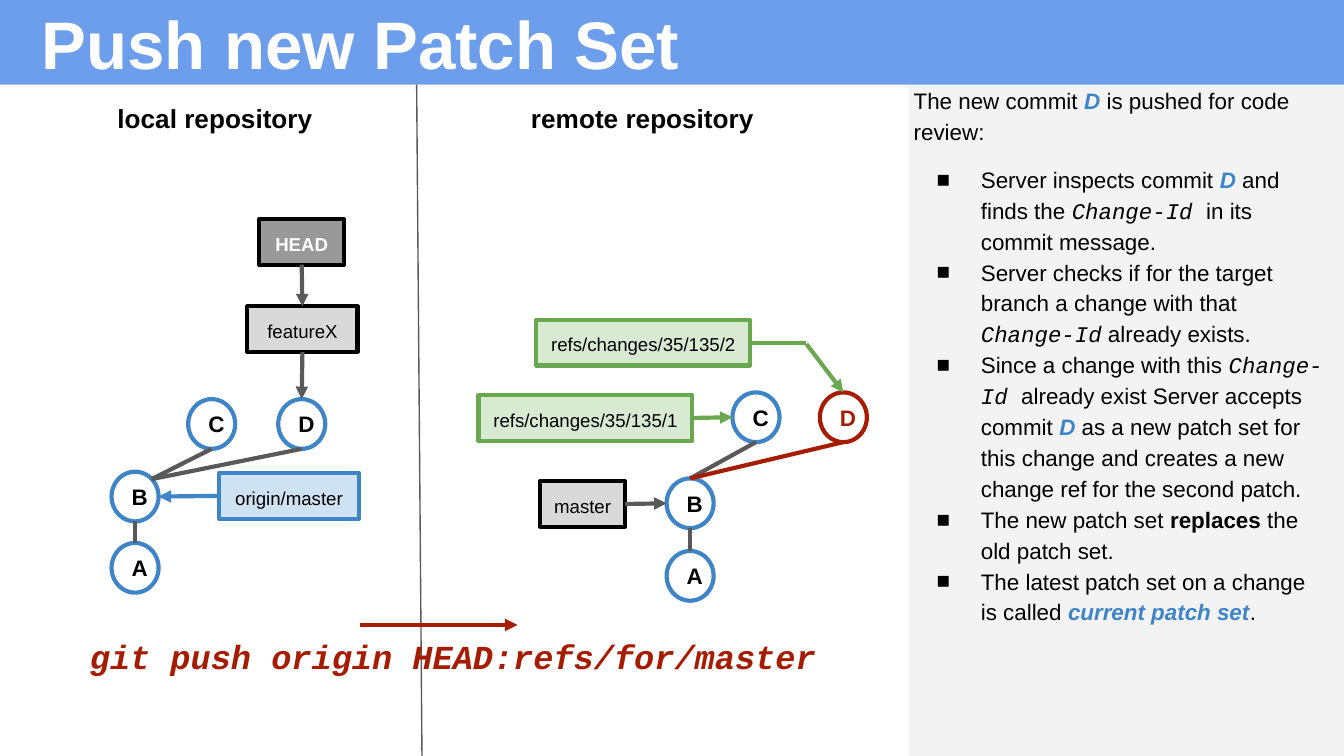
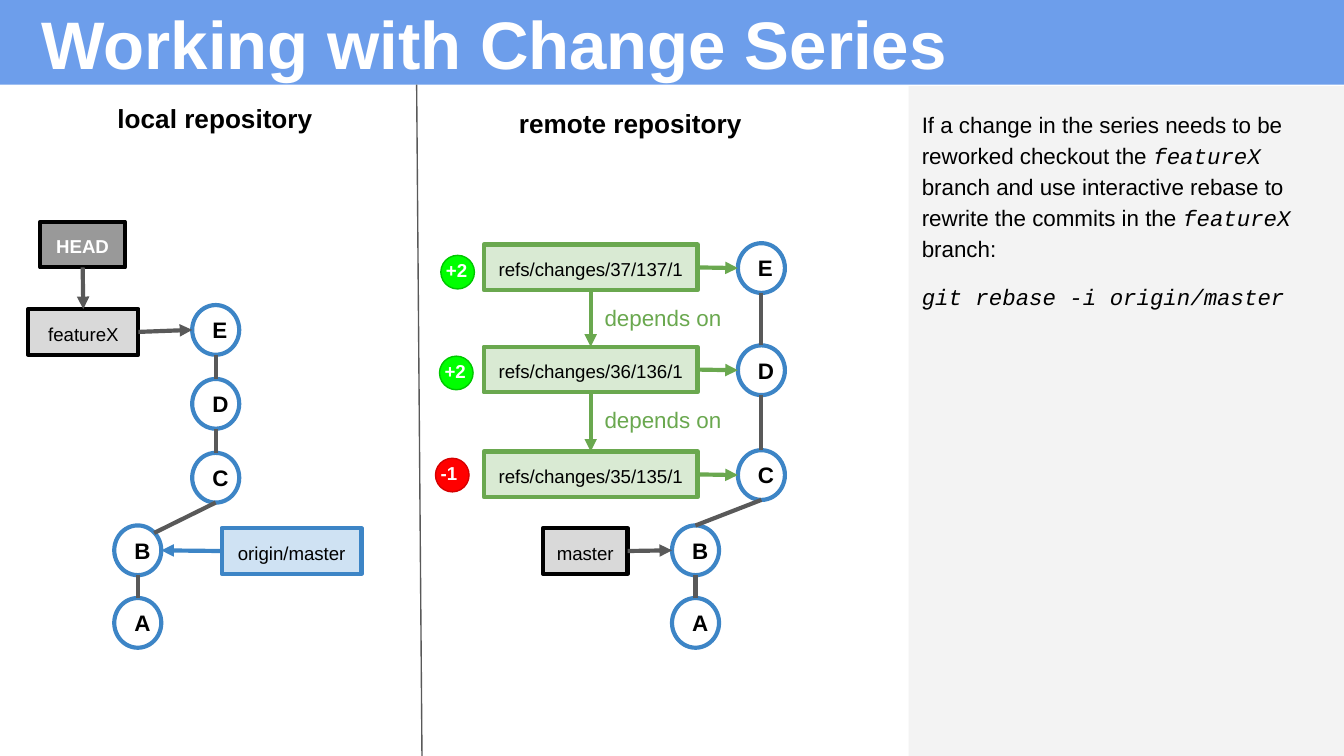
from dataclasses import dataclass

from lxml import etree
from pptx import Presentation
from pptx.dml import color
from pptx.enum import shapes, text
from pptx.oxml import ns
from pptx.util import Inches, Pt


@dataclass(frozen=True)
class Theme:
    sans: str = "Arial"
    mono: str = "Courier New"
    black: str = "000000"
    white: str = "FFFFFF"
    band: str = "6D9EEB"
    panel: str = "F3F3F3"
    grey: str = "595959"
    blue: str = "3D85C6"
    green: str = "6AA84F"
    red: str = "A61C00"
    title: int = 36
    command: int = 18
    heading: int = 14
    body: int = 12
    label: int = 10
    stroke: float = 2.25
    hairline: float = 0.75


theme = Theme()
TOP, LEFT, BOTTOM, RIGHT, UPPER_RIGHT = range(5)
SITES = [(0.5, 0), (0, 0.5), (0.5, 1), (1, 0.5), (0.85, 0.15)]
COMMIT_WIDTH, COMMIT_HEIGHT, REF_HEIGHT = 0.35, 0.37, 0.34
REF_KINDS = {
    "head": (0.63, "999999", theme.black, theme.white),
    "branch": (0.82, "D9D9D9", theme.black, theme.black),
    "master": (0.63, "D9D9D9", theme.black, theme.black),
    "origin": (1.04, "CFE2F3", theme.blue, theme.black),
    "change": (1.59, "D9EAD3", theme.green, theme.black),
}
VOTES = {"+2": ("00FF00", "00C700", 0.5, 0.33), "-1": ("FF0000", "D50000", 0.4, 0.28)}

CODE = {"name": theme.mono, "italic": True}
TERM = {"color": theme.blue, "bold": True, "italic": True}
STRONG = {"bold": True}

slides = [
    {
        "title": "Push new Patch Set",
        "remote_heading": (3.75, 0.66),
        "refs": [
            ("HEAD", "head", 1.93, 1.63),
            ("featureX", "branch", 1.84, 2.28),
            ("origin/master", "origin", 1.63, 3.52),
            ("master", "master", 4.02, 3.58),
            ("refs/changes/35/135/1", "change", 3.56, 2.94),
            ("refs/changes/35/135/2", "change", 3.99, 2.38),
        ],
        "commits": [
            ("local A", 0.83, 4.04, theme.blue),
            ("local B", 0.83, 3.51, theme.blue),
            ("local C", 1.4, 2.97, theme.blue),
            ("local D", 2.07, 2.97, theme.blue),
            ("remote A", 4.96, 4.1, theme.blue),
            ("remote B", 4.96, 3.56, theme.blue),
            ("remote C", 5.45, 2.92, theme.blue),
            ("remote D", 6.1, 2.92, theme.red),
        ],
        "history": [
            (("local A", TOP), ("local B", BOTTOM), theme.grey),
            (("local B", UPPER_RIGHT), ("local C", BOTTOM), theme.grey),
            (("local B", UPPER_RIGHT), ("local D", BOTTOM), theme.grey),
            (("remote A", TOP), ("remote B", BOTTOM), theme.grey),
            (("remote B", TOP), ("remote C", BOTTOM), theme.grey),
            (("remote B", TOP), ("remote D", BOTTOM), theme.red),
            (("refs/changes/35/135/2", RIGHT), (6, 2.55), theme.green),
        ],
        "arrows": [
            (("HEAD", BOTTOM), ("featureX", TOP), theme.grey),
            (("featureX", BOTTOM), ("local D", TOP), theme.grey),
            (("origin/master", LEFT), ("local B", RIGHT), theme.blue),
            (("master", RIGHT), ("remote B", LEFT), theme.grey),
            (("refs/changes/35/135/1", RIGHT), ("remote C", LEFT), theme.green),
            ((6, 2.56), ("remote D", TOP), theme.green),
            ((2.68, 4.65), (3.85, 4.65), theme.red),
        ],
        "captions": [
            ((0.57, 4.63, 5.79, 0.52),
             ("git push origin HEAD:refs/for/master", CODE | STRONG),
             theme.command, theme.red),
        ],
        "votes": [],
        "note_place": (6.7, 0.52, 3.26, 4.75),
        "intro": [["The new commit ", ("D", TERM), " is pushed for code review:"]],
        "bullets": [
            ["Server inspects commit ", ("D", TERM), " and finds the ",
             ("Change-Id ", CODE), "in its commit message."],
            ["Server checks if for the target branch a change with that ",
             ("Change-Id", CODE), " already exists."],
            ["Since a change with this ", ("Change-Id ", CODE),
             "already exist Server accepts commit ", ("D", TERM),
             " as a new patch set for this change and creates a new change ref"
             " for the second patch."],
            ["The new patch set ", ("replaces", STRONG), " the old patch set."],
            ["The latest patch set on a change is called ",
             ("current patch set", TERM), "."],
        ],
    },
    {
        "title": "Working with Change Series",
        "remote_heading": (3.66, 0.7),
        "refs": [
            ("HEAD", "head", 0.3, 1.65),
            ("featureX", "branch", 0.21, 2.3),
            ("origin/master", "origin", 1.65, 3.93),
            ("master", "master", 4.04, 3.93),
            ("refs/changes/37/137/1", "change", 3.6, 1.82),
            ("refs/changes/36/136/1", "change", 3.6, 2.58),
            ("refs/changes/35/135/1", "change", 3.6, 3.36),
        ],
        "commits": [
            ("local A", 0.85, 4.45, theme.blue),
            ("local B", 0.85, 3.91, theme.blue),
            ("local C", 1.43, 3.37, theme.blue),
            ("local D", 1.43, 2.82, theme.blue),
            ("local E", 1.43, 2.27, theme.blue),
            ("remote A", 5, 4.45, theme.blue),
            ("remote B", 5, 3.91, theme.blue),
            ("remote C", 5.49, 3.35, theme.blue),
            ("remote D", 5.49, 2.57, theme.blue),
            ("remote E", 5.49, 1.81, theme.blue),
        ],
        "history": [
            (("local A", TOP), ("local B", BOTTOM), theme.grey),
            (("local B", UPPER_RIGHT), ("local C", BOTTOM), theme.grey),
            (("local C", TOP), ("local D", BOTTOM), theme.grey),
            (("local D", TOP), ("local E", BOTTOM), theme.grey),
            (("remote A", TOP), ("remote B", BOTTOM), theme.grey),
            (("remote B", TOP), ("remote C", BOTTOM), theme.grey),
            (("remote C", TOP), ("remote D", BOTTOM), theme.grey),
            (("remote D", TOP), ("remote E", BOTTOM), theme.grey),
        ],
        "arrows": [
            (("HEAD", BOTTOM), ("featureX", TOP), theme.grey),
            (("featureX", RIGHT), ("local E", LEFT), theme.grey),
            (("origin/master", LEFT), ("local B", RIGHT), theme.blue),
            (("master", RIGHT), ("remote B", LEFT), theme.grey),
            (("refs/changes/37/137/1", RIGHT), ("remote E", LEFT), theme.green),
            (("refs/changes/36/136/1", RIGHT), ("remote D", LEFT), theme.green),
            (("refs/changes/35/135/1", RIGHT), ("remote C", LEFT), theme.green),
            (("refs/changes/37/137/1", BOTTOM), ("refs/changes/36/136/1", TOP), theme.green),
            (("refs/changes/36/136/1", BOTTOM), ("refs/changes/35/135/1", TOP), theme.green),
        ],
        "captions": [
            ((4.4, top, 1.26, 0.44), "depends on", theme.body, theme.green)
            for top in (2.16, 2.92)
        ],
        "votes": [("+2", 3.28, 1.9), ("+2", 3.27, 2.65), ("-1", 3.24, 3.41)],
        "note_place": (6.76, 0.7, 3.18, 4.68),
        "intro": [
            ["If a change in the series needs to be reworked checkout the ",
             ("featureX", CODE),
             " branch and use interactive rebase to rewrite the commits in the ",
             ("featureX", CODE), " branch:"],
            [("git rebase -i origin/master", CODE)],
        ],
        "bullets": [],
    },
]


def add_box(parent, place, lines=(), size=theme.body, ink=theme.black, bold=False,
            align=text.PP_ALIGN.LEFT, anchor=text.MSO_ANCHOR.TOP,
            preset=None, fill=None, line=None, width=theme.stroke):
    place = [Inches(length) for length in place]
    if preset is None:
        box = parent.add_textbox(*place)
    else:
        box = parent.add_shape(preset, *place)
        box.shadow.inherit = False
        for paint, tint in ((box.fill, fill), (box.line.fill, line)):
            if tint:
                paint.solid()
                paint.fore_color.rgb = color.RGBColor.from_string(tint)
            else:
                paint.background()
        if line:
            box.line.width = Pt(width)
    frame = box.text_frame
    frame.word_wrap = True
    frame.vertical_anchor = anchor
    frame.margin_left = frame.margin_right = Inches(0.1)
    frame.margin_top = frame.margin_bottom = Inches(0.1)
    for index, spans in enumerate(lines):
        para = frame.add_paragraph() if index else frame.paragraphs[0]
        para.alignment = align
        para.font.name, para.font.size, para.font.bold = theme.sans, Pt(size), bold
        para.font.color.rgb = color.RGBColor.from_string(ink)
        for entry in spans:
            words, look = entry if isinstance(entry, tuple) else (entry, {})
            span = para.add_run()
            span.text = words
            font = para.font if len(spans) == 1 else span.font
            for trait, value in look.items():
                if trait == "color":
                    font.color.rgb = color.RGBColor.from_string(value)
                else:
                    setattr(font, trait, value)
    return box


def add_link(page, nodes, start, end, tint, arrow=False, width=theme.stroke):
    points = []
    for name, site in (start, end):
        if name in nodes:
            node = nodes[name]
            across, down = SITES[site]
            points += [int(node.left + across * node.width), int(node.top + down * node.height)]
        else:
            points += [Inches(name), Inches(site)]
    link = page.shapes.add_connector(shapes.MSO_CONNECTOR.STRAIGHT, *points)
    for (name, site), connect in ((start, link.begin_connect), (end, link.end_connect)):
        if name in nodes and nodes[name].auto_shape_type == shapes.MSO_SHAPE.RECTANGLE:
            connect(nodes[name], site)
    link.line.color.rgb = color.RGBColor.from_string(tint)
    link.line.width = Pt(width)
    if arrow:
        etree.SubElement(link.line._get_or_add_ln(), ns.qn("a:tailEnd"), type="triangle")
    etree.SubElement(link._element.spPr, ns.qn("a:effectLst"))


deck = Presentation()
deck.slide_width = Inches(10)
deck.slide_height = deck.slide_width * 9 // 16
RECTANGLE, OVAL = shapes.MSO_SHAPE.RECTANGLE, shapes.MSO_SHAPE.OVAL
CENTER, MIDDLE = text.PP_ALIGN.CENTER, text.MSO_ANCHOR.MIDDLE

for content in slides:
    page = deck.slides.add_slide(deck.slide_layouts[6])
    canvas = page.shapes
    nodes = {}

    add_box(canvas, (0, 0, 10.01, 0.63), preset=RECTANGLE, fill=theme.band)
    add_box(canvas, (0.21, -0.1, 8.26, 0.83), [[content["title"]]], theme.title,
            theme.white, bold=True, anchor=MIDDLE)
    add_box(canvas, (6.76, 0.64, 3.25, 4.99), preset=RECTANGLE, fill=theme.panel)
    add_link(page, nodes, (3.1, 0.63), (3.14, 5.63), theme.grey, width=theme.hairline)
    for heading, corner in (("local repository", (0.57, 0.66)),
                            ("remote repository", content["remote_heading"])):
        add_box(canvas, (*corner, 2.06, 0.5), [[heading]], theme.heading, bold=True, align=CENTER)

    note = add_box(canvas, content["note_place"], content["intro"] + content["bullets"])
    first_bullet = len(content["intro"])
    for index, para in enumerate(note.text_frame.paragraphs):
        para.line_spacing = 1.15
        para.space_before = Pt(9 if index <= first_bullet else 0)
        if index >= first_bullet:
            properties = para._p.get_or_add_pPr()
            properties.set("marL", str(Inches(0.5)))
            properties.set("indent", str(Inches(-0.33)))
            defaults = properties.find(ns.qn("a:defRPr"))
            defaults.addprevious(etree.Element(ns.qn("a:buFont"), typeface=theme.sans))
            defaults.addprevious(etree.Element(ns.qn("a:buChar"), char="■"))

    for name, kind, left, top in content["refs"]:
        width, fill, line, ink = REF_KINDS[kind]
        nodes[name] = add_box(canvas, (left, top, width, REF_HEIGHT), [[name]], theme.label, ink,
                              bold=kind == "head", align=CENTER, preset=RECTANGLE,
                              fill=fill, line=line)
    for name, left, top, tint in content["commits"]:
        ink = theme.red if tint == theme.red else theme.black
        nodes[name] = add_box(canvas, (left, top, COMMIT_WIDTH, COMMIT_HEIGHT), [[name[-1]]],
                              ink=ink, bold=True, align=CENTER, anchor=MIDDLE,
                              preset=OVAL, line=tint)

    for start, end, tint in content["history"]:
        add_link(page, nodes, start, end, tint)
    for start, end, tint in content["arrows"]:
        add_link(page, nodes, start, end, tint, arrow=True)

    for place, caption, size, ink in content["captions"]:
        add_box(canvas, place, [[caption]], size, ink)
    for vote, left, top in content["votes"]:
        fill, line, width, height = VOTES[vote]
        badge = canvas.add_group_shape().shapes
        add_box(badge, (left, top, 0.25, 0.25), preset=OVAL, fill=fill, line=line,
                width=theme.hairline)
        add_box(badge, (left - 0.06, top - 0.06, width, height), [[vote]], theme.label,
                theme.white, bold=True)

deck.save("out.pptx")
